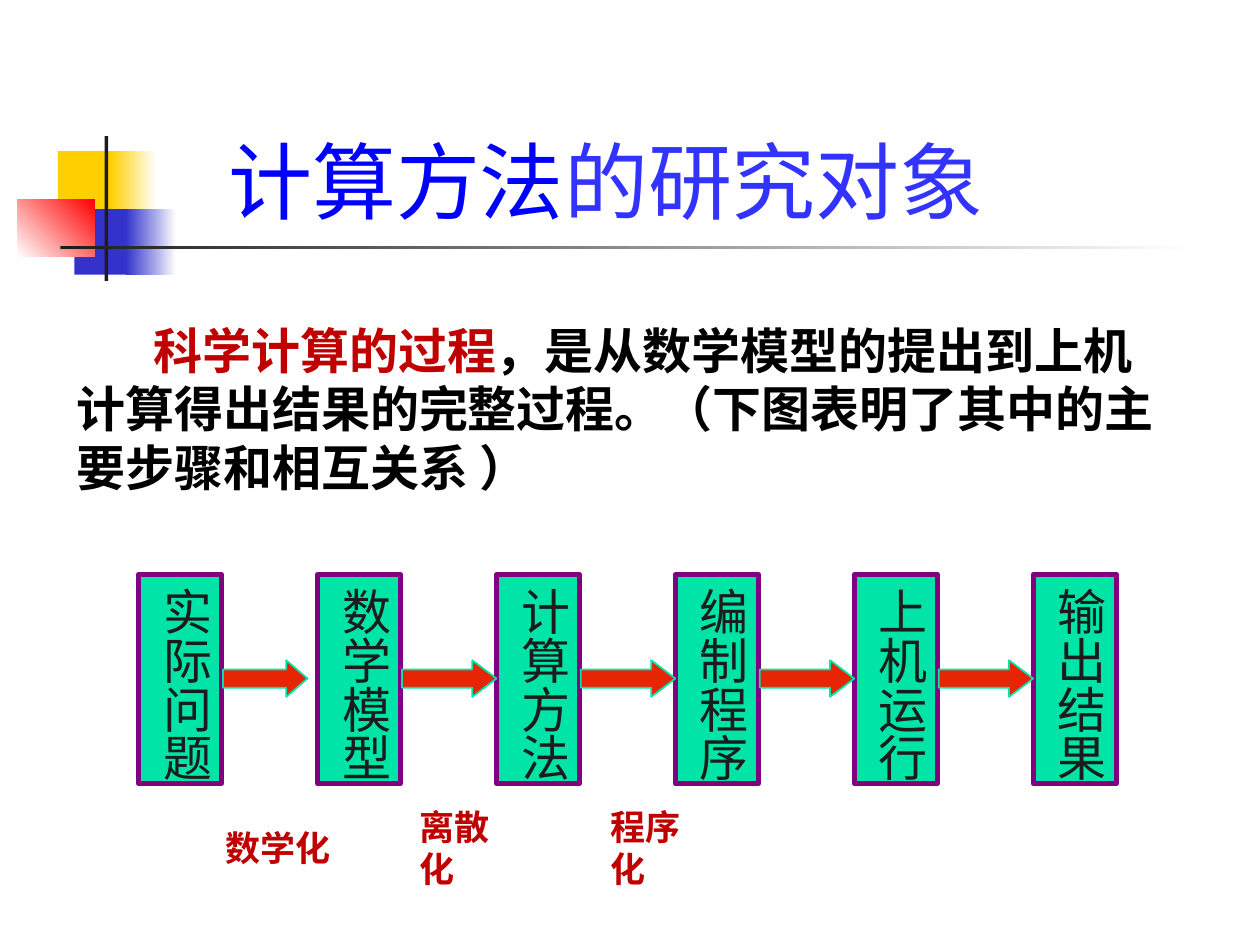
from dataclasses import dataclass
from typing import Optional

import pptx
import pptx.dml.color
import pptx.enum.shapes
import pptx.enum.text
import pptx.oxml.ns
import pptx.util
from lxml import etree

Inches = pptx.util.Inches
Pt = pptx.util.Pt
SHAPE = pptx.enum.shapes.MSO_SHAPE
ANCHOR = pptx.enum.text.MSO_ANCHOR
ALIGN = pptx.enum.text.PP_ALIGN
CJK = "Noto Sans CJK SC"
COLORS = {
    "yellow": "FFCF01", "blue": "3333CC", "red": "FF0000", "white": "FFFFFF",
    "ink": "1C1C1C", "black": "000000", "accent": "C00000",
    "title": "0000FF", "title_light": "3333FF",
    "step": "00E4A8", "border": "800080", "arrow": "E72505",
}


@dataclass
class Box:
    left: float
    top: float
    width: float
    height: float

    def emu(self) -> tuple:
        return tuple(Inches(v) for v in (self.left, self.top, self.width, self.height))


@dataclass
class Block:
    box: Box
    color: str
    fade_to: Optional[str] = None
    angle: float = 0


@dataclass
class Label:
    text: str
    box: Box


BLOCKS = [
    Block(Box(0.46, 1.2, 0.48, 0.52), "yellow"),
    Block(Box(0.88, 1.2, 0.36, 0.52), "yellow", "white"),
    Block(Box(0.59, 1.66, 0.46, 0.52), "blue"),
    Block(Box(1, 1.66, 0.4, 0.52), "blue", "white"),
    Block(Box(0.14, 1.58, 0.61, 0.46), "white", "red", 45),
    Block(Box(0.83, 1.08, 0.03, 1.15), "ink"),
    Block(Box(0.48, 1.95, 9, 0.03), "ink", "white"),
]
STEPS = ["实际问题", "数学模型", "计算方法", "编制程序", "上机运行", "输出结果"]
STEP_LEFT, STEP_PITCH, ARROW_LEFT = 1.1, 1.42, 1.77
LABELS = [
    Label("数学化", Box(1.69, 6.51, 1.1, 0.44)),
    Label("离散化", Box(3.23, 6.51, 1.03, 0.44)),
    Label("程序化", Box(4.75, 6.51, 1.03, 0.44)),
]


def rgb(name: str) -> pptx.dml.color.RGBColor:
    return pptx.dml.color.RGBColor.from_string(COLORS[name])


def add_run(p, text: str, color: str) -> None:
    r = p.add_run()
    r.text = text
    r.font.color.rgb = rgb(color)
    ea = etree.SubElement(r.font._element, pptx.oxml.ns.qn("a:ea"))
    ea.set("typeface", CJK)


def style(p, size: float, name: str, bold: bool = False, indent: float = 0) -> None:
    p.alignment = ALIGN.LEFT
    p.font.size, p.font.name, p.font.bold = Pt(size), name, bold
    if indent:
        p._p.get_or_add_pPr().set("indent", str(Inches(indent)))


def add_shape(slide, kind, box: Box, fill: str, line: Optional[str] = None, weight: float = 0):
    sp = slide.shapes.add_shape(kind, *box.emu())
    sp.shadow.inherit = False
    sp.fill.solid()
    sp.fill.fore_color.rgb = rgb(fill)
    if line:
        sp.line.color.rgb = rgb(line)
        sp.line.width = Pt(weight)
    else:
        sp.line.fill.background()
    return sp


def add_block(slide, block: Block) -> None:
    sp = add_shape(slide, SHAPE.RECTANGLE, block.box, block.color)
    if block.fade_to:
        sp.fill.gradient()
        sp.fill.gradient_angle = block.angle
        for stop, color, position in zip(sp.fill.gradient_stops, (block.color, block.fade_to), (0, 1)):
            stop.color.rgb = rgb(color)
            stop.position = position


def add_step(slide, text: str, left: float) -> None:
    sp = add_shape(slide, SHAPE.RECTANGLE, Box(left, 4.56, 0.66, 1.66), "step", "border", 2.75)
    tf = sp.text_frame
    tf.word_wrap = False
    tf.vertical_anchor = ANCHOR.TOP
    tf.margin_left = tf.margin_right = Inches(0.05)
    tf.margin_top = tf.margin_bottom = Inches(0.1)
    tf._txBody.bodyPr.set("vert", "eaVert")
    style(tf.paragraphs[0], 28, CJK)
    add_run(tf.paragraphs[0], text, "ink")


def add_arrow(slide, left: float, width: float, head: float) -> None:
    sp = add_shape(slide, SHAPE.RIGHT_ARROW, Box(left, 5.24, width, 0.29), "arrow", "step", 1)
    sp.adjustments[0], sp.adjustments[1] = 0.5, head


def add_text(slide, box: Box, wrap: bool):
    tf = slide.shapes.add_textbox(*box.emu()).text_frame
    tf.word_wrap = wrap
    tf.vertical_anchor = ANCHOR.MIDDLE
    return tf.paragraphs[0]


def add_title(slide) -> None:
    sp = slide.shapes.title
    sp.left, sp.top, sp.width, sp.height = Box(1.26, 0.23, 8.52, 1.6).emu()
    tf = sp.text_frame
    tf.vertical_anchor = ANCHOR.BOTTOM
    tf.margin_bottom = 0
    p = tf.paragraphs[0]
    style(p, 48, "Lato", indent=0.45)
    add_run(p, "计算方法", "title")
    add_run(p, "的研究对象", "title_light")


def add_intro(slide) -> None:
    p = add_text(slide, Box(0.51, 2.49, 8.8, 1.5), True)
    style(p, 28, "Times New Roman", True, 0.61)
    p.line_spacing = Pt(33.4)
    add_run(p, "科学计算的过程", "accent")
    add_run(p, "，是从数学模型的提出到上机计算得出结果的完整过程。（下图表明了其中的主要步骤和相互关系 ）", "black")


def main() -> None:
    prs = pptx.Presentation()
    prs.slide_width, prs.slide_height = Inches(10), Inches(7.5)
    slide = prs.slides.add_slide(prs.slide_layouts[5])
    for block in BLOCKS:
        add_block(slide, block)
    add_title(slide)
    add_intro(slide)
    for label in LABELS:
        p = add_text(slide, label.box, False)
        style(p, 20, CJK, True)
        add_run(p, label.text, "accent")
    for i, text in enumerate(STEPS):
        add_step(slide, text, STEP_LEFT + i * STEP_PITCH)
    for i in range(len(STEPS) - 1):
        width, head = (0.75, 0.66) if i else (0.67, 0.58)
        add_arrow(slide, ARROW_LEFT + i * STEP_PITCH, width, head)
    prs.save("out.pptx")


if __name__ == "__main__":
    main()
